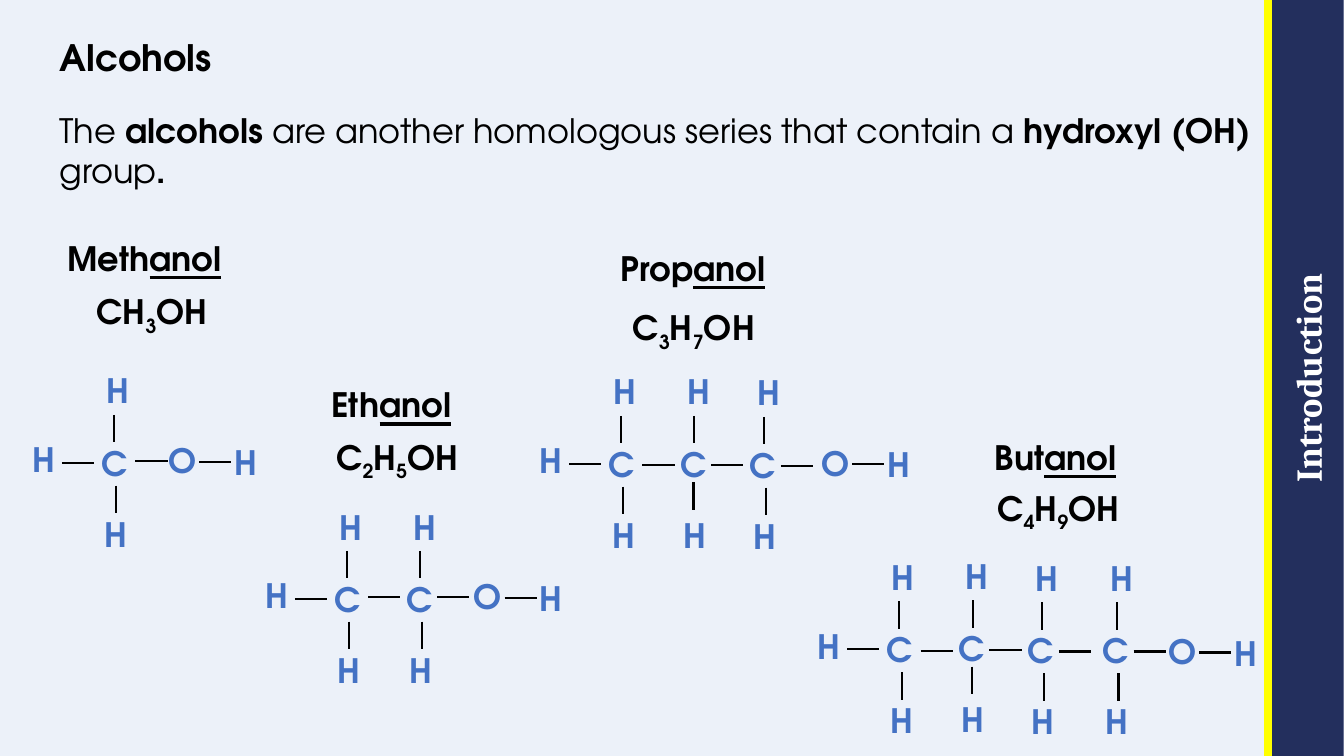
"""Build a slide introducing the alcohols with the displayed formulae of four of them."""

from dataclasses import dataclass
from itertools import groupby

from lxml.etree import SubElement
from pptx import Presentation
from pptx.dml.color import RGBColor
from pptx.enum.shapes import MSO_CONNECTOR, MSO_SHAPE
from pptx.enum.text import MSO_ANCHOR, MSO_AUTO_SIZE, PP_ALIGN
from pptx.oxml.ns import qn
from pptx.util import Pt

TITLE = [("Alcohols", "bold")]
DEFINITION = [
    ("The ", ""),
    ("alcohols", "bold"),
    (" are another homologous series that contain a ", ""),
    ("hydroxyl (OH) ", "bold"),
    ("group", ""),
    (".", "bold"),
]
SECTION = [("Introduction", "bold")]
ENDING = "anol"

MOLECULES = [
    dict(stem="Meth", name_at=(41, 166.3), formula="CH3OH", formula_at=(61.9, 204.5),
         carbons=[(65.5, 312.5)], oxygen=(113, 311), bond_drop=17),
    dict(stem="Eth", name_at=(229.7, 270.7), formula="C2H5OH", formula_at=(233.3, 308.2),
         carbons=[(231.8, 409.7), (283, 409.7)], oxygen=(331.2, 408.2), bond_drop=17),
    dict(stem="Prop", name_at=(436.3, 173.5), formula="C3H7OH", formula_at=(445, 216),
         carbons=[(427.7, 313.2), (478.8, 313.2), (528.5, 313.9)],
         oxygen=(579.6, 312.5), bond_drop=19),
    dict(stem="But", name_at=(703.4, 308.2), formula="C4H9OH", formula_at=(705.6, 344.9),
         carbons=[(626.4, 445.7), (677.5, 445), (727.2, 446.4), (780.5, 446.4)],
         oxygen=(827.3, 447.1), bond_drop=19),
]

ATOM_WIDTH = {"H": 31, "C": 34.6, "O": 34.6}
LINE_HEIGHT = 36
ACROSS = (23, 0)
DOWN = (0, 19.6)


@dataclass(frozen=True)
class Theme:
    """Colours, fonts and sizes of the slide."""

    background: RGBColor = RGBColor(0xEC, 0xF1, 0xF9)
    sidebar: RGBColor = RGBColor(0x23, 0x2F, 0x5D)
    divider: RGBColor = RGBColor(0xFF, 0xFF, 0x00)
    atom: RGBColor = RGBColor(0x44, 0x72, 0xC4)
    ink: RGBColor = RGBColor(0, 0, 0)
    white: RGBColor = RGBColor(0xFF, 0xFF, 0xFF)
    font: str = "TeX Gyre Adventor"
    section_font: str = "Cambria"
    heading_size: int = 26
    body_size: int = 24
    bond_width: float = 1.5
    divider_width: float = 6


THEME = Theme()


def write(shape, runs, color=THEME.ink, size=THEME.body_size, font=THEME.font):
    paragraph = shape.text_frame.paragraphs[0]
    paragraph.font.name = font
    paragraph.font.size = Pt(size)
    paragraph.font.color.rgb = color
    all_bold = all("bold" in style for _, style in runs)
    if all_bold:
        paragraph.font.bold = True
    for text, style in runs:
        run = paragraph.add_run()
        run.text = text
        if not all_bold:
            run.font.bold = "bold" in style
        if "underline" in style:
            run.font.underline = True
        if "subscript" in style:
            run._r.get_or_add_rPr().set("baseline", "-25000")
    return paragraph


def remove_margins(frame):
    frame.margin_left = frame.margin_right = frame.margin_top = frame.margin_bottom = 0


def add_text(slide, position, width, height, runs, wrap=True, **style):
    shape = slide.shapes.add_textbox(*map(Pt, (*position, width, height)))
    shape.text_frame.word_wrap = wrap
    shape.text_frame.auto_size = MSO_AUTO_SIZE.SHAPE_TO_FIT_TEXT
    write(shape, runs, **style)
    return shape


def add_line(slide, start, extent, color=THEME.ink, width=THEME.bond_width):
    (x, y), (dx, dy) = start, extent
    connector = slide.shapes.add_connector(
        MSO_CONNECTOR.STRAIGHT, *map(Pt, (x, y, x + dx, y + dy)))
    connector.line.color.rgb = color
    connector.line.width = Pt(width)
    SubElement(connector._element.spPr, qn("a:effectLst"))


def add_atom(slide, symbol, x, y):
    add_text(slide, (x, y), ATOM_WIDTH[symbol], LINE_HEIGHT, [(symbol, "bold")],
             wrap=False, color=THEME.atom)


def formula_runs(formula):
    return [("".join(group), "bold subscript" if digit else "bold")
            for digit, group in groupby(formula, str.isdigit)]


def add_carbon(slide, x, y, first, inner, bond_drop):
    shift = 0 if first else 1.8
    lower_x, lower_y = (16.6, 31.2) if inner else (17.6 + shift / 2, 34.4)
    add_atom(slide, "C", x, y)
    add_atom(slide, "H", x + 3.6 + shift, y - 51.5)
    add_atom(slide, "H", x + 2.4, y + 51)
    add_line(slide, (x + 15.8 + shift * 0.8, y - 16.2), DOWN)
    add_line(slide, (x + lower_x, y + lower_y), DOWN)
    add_line(slide, (x + (31.2 if first else 29.2), y + bond_drop), ACROSS)


def add_molecule(slide, stem, name_at, formula, formula_at, carbons, oxygen, bond_drop):
    add_text(slide, name_at, 146, LINE_HEIGHT, [(stem, "bold"), (ENDING, "bold underline")])
    add_text(slide, formula_at, 122.4, LINE_HEIGHT, formula_runs(formula))

    left, top = carbons[0]
    add_atom(slide, "H", left - 49.4, top - 2.4)
    add_line(slide, (left - 21.2, top + 18), ACROSS)
    for index, (x, y) in enumerate(carbons):
        inner = index == 1 and len(carbons) > 2
        add_carbon(slide, x, y, index == 0, inner, bond_drop)

    x, y = oxygen
    add_atom(slide, "O", x, y)
    add_atom(slide, "H", x + 47.2, y + 1.2)
    add_line(slide, (x + 29.2, y + 19), ACROSS)


def add_sidebar(slide):
    sidebar = slide.shapes.add_shape(
        MSO_SHAPE.RECTANGLE, Pt(663.9), Pt(244.1), Pt(540), Pt(51.8))
    sidebar.rotation = 270
    sidebar.shadow.inherit = False
    sidebar.fill.solid()
    sidebar.fill.fore_color.rgb = THEME.sidebar
    sidebar.line.fill.background()
    remove_margins(sidebar.text_frame)
    sidebar.text_frame.vertical_anchor = MSO_ANCHOR.MIDDLE
    paragraph = write(sidebar, SECTION, THEME.white, THEME.heading_size, THEME.section_font)
    paragraph.alignment = PP_ALIGN.CENTER
    add_line(slide, (905.8, 0), (0, 540), THEME.divider, THEME.divider_width)


def add_title(slide):
    title = add_text(slide, (42.5, 0), 836, 56.9, TITLE, size=THEME.heading_size)
    title.text_frame.auto_size = MSO_AUTO_SIZE.NONE
    title.text_frame.vertical_anchor = MSO_ANCHOR.BOTTOM
    title.text_frame.paragraphs[0].line_spacing = 0.9
    remove_margins(title.text_frame)


def main():
    presentation = Presentation()
    presentation.slide_width, presentation.slide_height = Pt(960), Pt(540)
    slide = presentation.slides.add_slide(presentation.slide_layouts[6])
    slide.background.fill.solid()
    slide.background.fill.fore_color.rgb = THEME.background

    add_sidebar(slide)
    add_title(slide)
    add_text(slide, (35.3, 74.9), 871.2, 65.5, DEFINITION)
    for molecule in MOLECULES:
        add_molecule(slide, **molecule)
    presentation.save("out.pptx")


if __name__ == "__main__":
    main()
